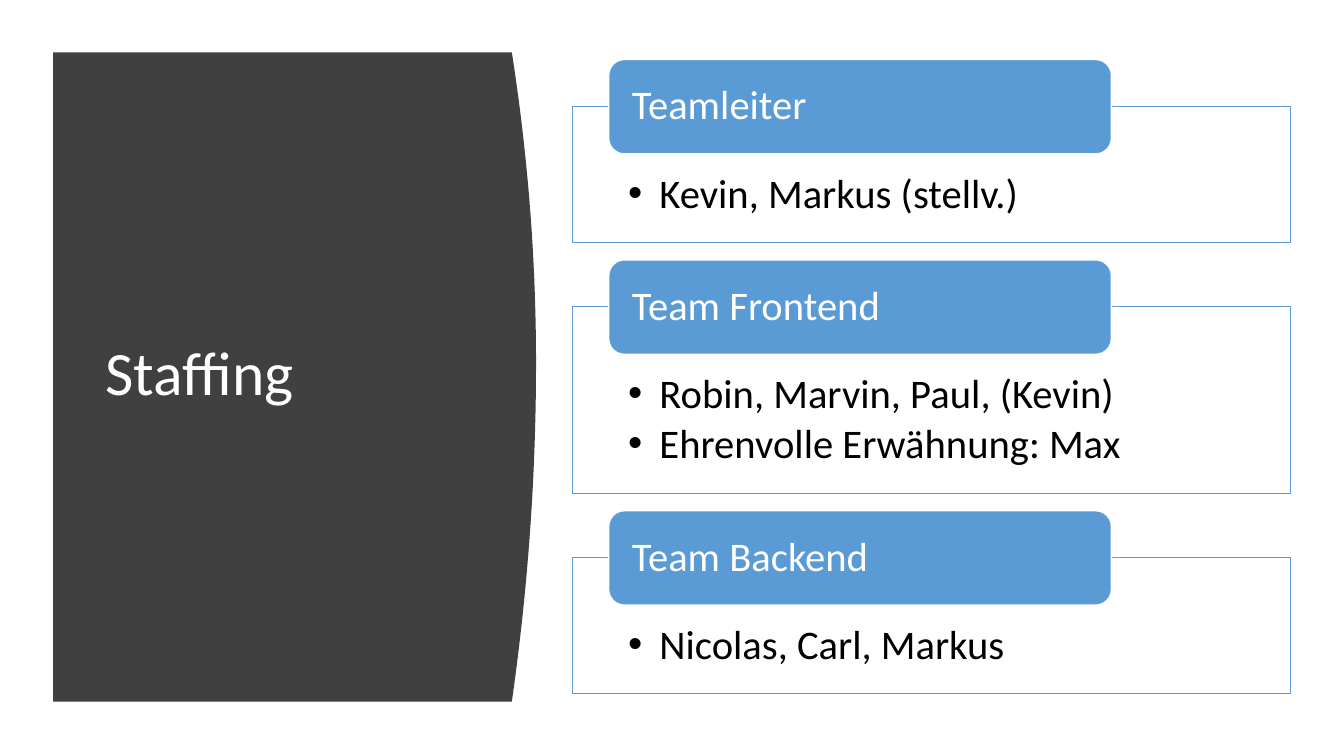
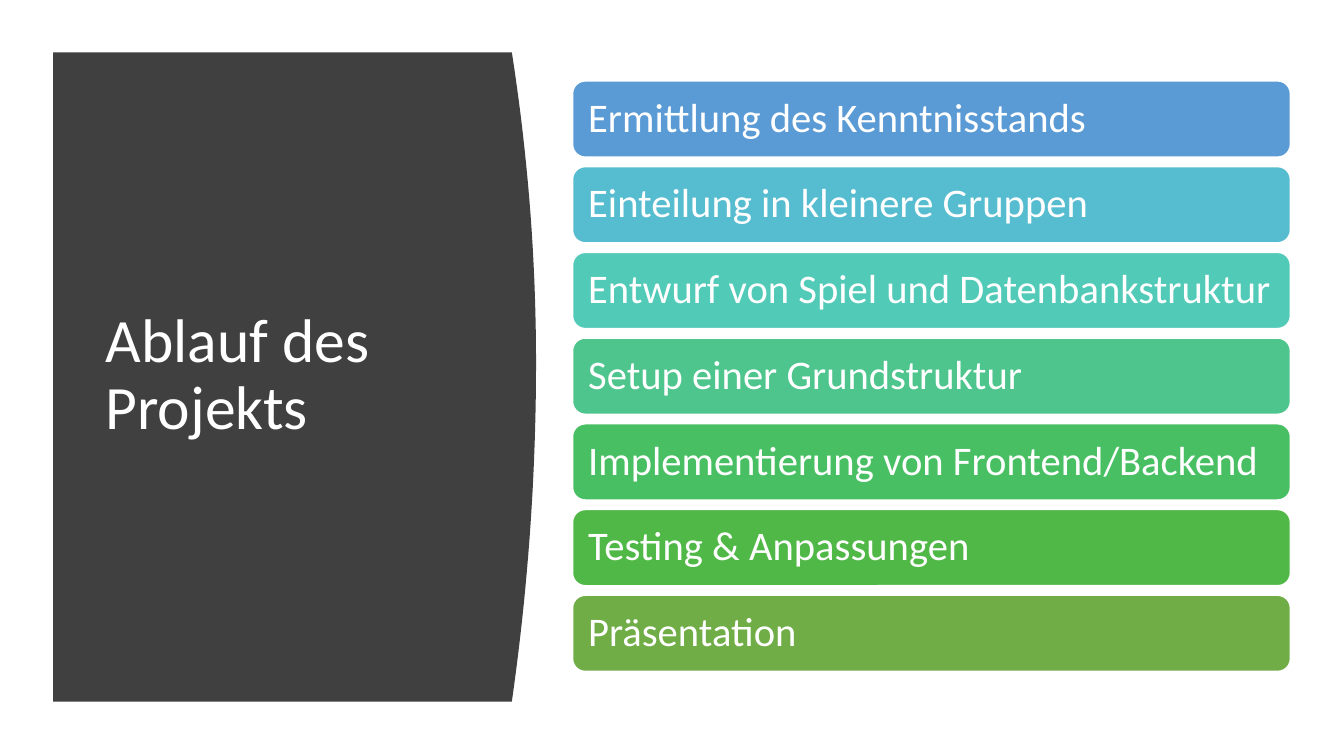
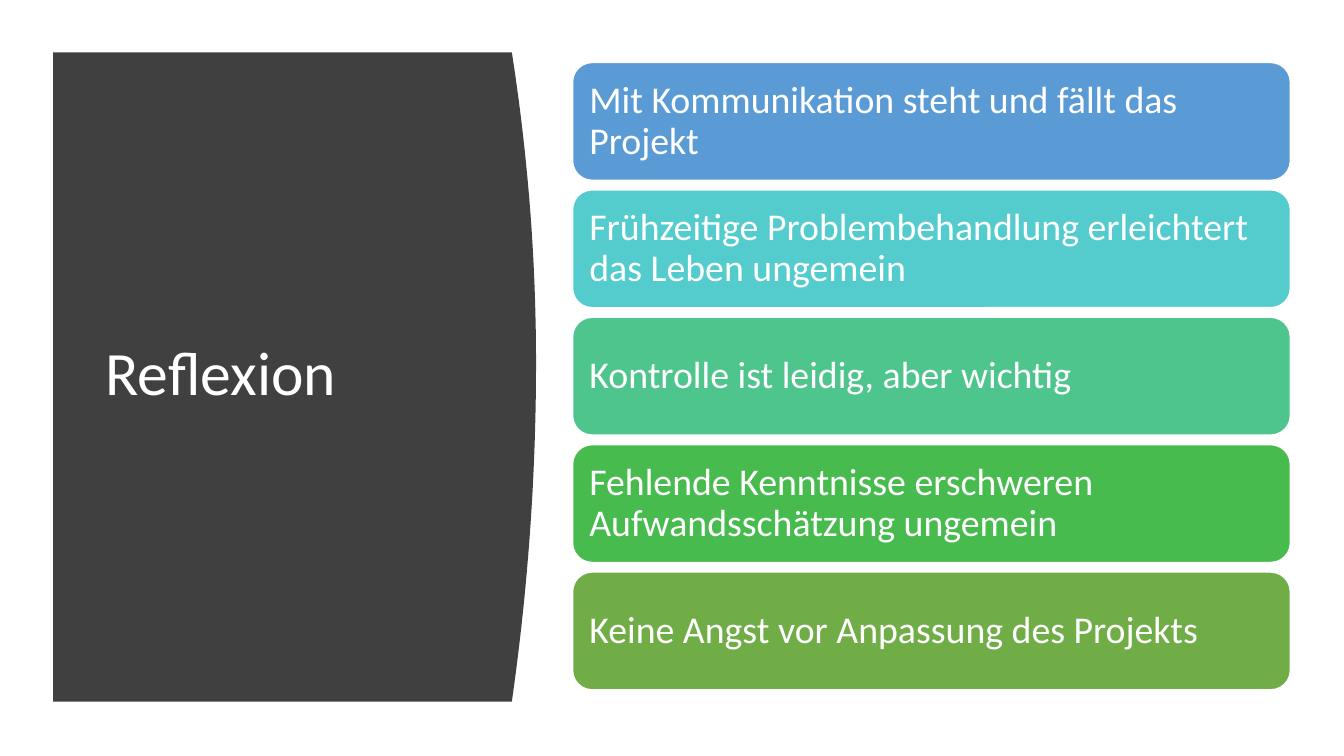
from dataclasses import dataclass

from lxml import etree
from pptx import Presentation
from pptx.dml.color import RGBColor
from pptx.enum import shapes, text
from pptx.oxml.ns import qn
from pptx.util import Cm, Pt

STAFFING = ("Staffing", [
    ("Teamleiter", ["Kevin, Markus (stellv.)"]),
    ("Team Frontend", ["Robin, Marvin, Paul, (Kevin)", "Ehrenvolle Erwähnung: Max"]),
    ("Team Backend", ["Nicolas, Carl, Markus"]),
])
SCHEDULE = ("Ablauf des Projekts", [
    ("Ermittlung des Kenntnisstands", "5B9BD5"),
    ("Einteilung in kleinere Gruppen", "56BCD0"),
    ("Entwurf von Spiel und Datenbankstruktur", "52CAB8"),
    ("Setup einer Grundstruktur", "4DC58D"),
    ("Implementierung von Frontend/Backend", "49BF64"),
    ("Testing & Anpassungen", "50B846"),
    ("Präsentation", "70AD47"),
])
REFLECTION = ("Reflexion", [
    ("Mit Kommunikation steht und fällt das Projekt", "5B9BD5"),
    ("Frühzeitige Problembehandlung erleichtert das Leben ungemein", "54CCCD"),
    ("Kontrolle ist leidig, aber wichtig", "4DC58D"),
    ("Fehlende Kenntnisse erschweren Aufwandsschätzung ungemein", "48BB4F"),
    ("Keine Angst vor Anpassung des Projekts", "70AD47"),
])


@dataclass(frozen=True)
class Theme:
    font: str = "Calibri"
    bullet_font: str = "Arial"
    panel: str = "404040"
    accent: str = "5B9BD5"
    light: str = "FFFFFF"
    dark: str = "000000"
    title_size: int = 44
    body_size: int = 29
    long_size: int = 27


THEME = Theme()
PANEL = {"left": 1.34, "top": 1.32, "corner": 12.9, "bulge": 13.51, "peak": 9.14, "bottom": 17.68}
TITLE_AREA = (2.41, 2.82, 9.5, 13.31)
CONTENT_LEFT, CONTENT_WIDTH, CONTENT_MIDDLE = 14.43, 18.09, 9.48
BAR_GAP = 0.24


def apply(target, values):
    for name, value in values.items():
        setattr(target, name, value)


def write(box, lines, size, color, insets, anchor=text.MSO_ANCHOR.MIDDLE, after=0):
    frame = box.text_frame
    sides = ("margin_left", "margin_top", "margin_right", "margin_bottom")
    apply(frame, {side: Cm(inset) for side, inset in zip(sides, insets)})
    apply(frame, {"word_wrap": True, "vertical_anchor": anchor, "auto_size": text.MSO_AUTO_SIZE.NONE})
    frame.text = "\n".join(lines)
    for para in frame.paragraphs:
        apply(para, {"alignment": text.PP_ALIGN.LEFT, "line_spacing": 0.9, "space_after": Pt(after)})
        apply(para.font, {"name": THEME.font, "size": Pt(size)})
        para.font.color.rgb = RGBColor.from_string(color)


def add_bullets(box):
    for para in box.text_frame.paragraphs:
        properties = para._p.get_or_add_pPr()
        properties.set("marL", str(Cm(0.79)))
        properties.set("indent", str(Cm(-0.79)))
        run_defaults = properties.find(qn("a:defRPr"))
        run_defaults.addprevious(etree.Element(qn("a:buFont"), typeface=THEME.bullet_font))
        run_defaults.addprevious(etree.Element(qn("a:buChar"), char="•"))


def paint(box, fill, line=None):
    box.shadow.inherit = False
    box.fill.solid()
    box.fill.fore_color.rgb = RGBColor.from_string(fill)
    if line:
        box.line.color.rgb = RGBColor.from_string(line)
        box.line.width = Pt(1)
    else:
        box.line.fill.background()


def add_box(page, kind, area, fill, line):
    box = page.shapes.add_shape(kind, *map(Cm, area))
    paint(box, fill, line)
    return box


def panel_edge(y):
    end = PANEL["top"] if y < PANEL["peak"] else PANEL["bottom"]
    share = (y - PANEL["peak"]) / (end - PANEL["peak"])
    return PANEL["bulge"] - (PANEL["bulge"] - PANEL["corner"]) * share ** 2


def add_page(deck, title):
    page = deck.slides.add_slide(deck.slide_layouts[5])
    steps = 40
    height = PANEL["bottom"] - PANEL["top"]
    levels = [PANEL["top"] + height * step / steps for step in range(steps + 1)]
    curve = [(Cm(panel_edge(y)), Cm(y)) for y in levels]
    outline = page.shapes.build_freeform(Cm(PANEL["left"]), Cm(PANEL["top"]))
    outline.add_line_segments(curve + [(Cm(PANEL["left"]), Cm(PANEL["bottom"]))], close=True)
    panel = outline.convert_to_shape()
    paint(panel, THEME.panel)
    heading = page.shapes.title
    heading._element.addprevious(panel._element)
    apply(heading, dict(zip(("left", "top", "width", "height"), map(Cm, TITLE_AREA))))
    write(heading, [title], THEME.title_size, THEME.light, (0.25, 0.13, 0.25, 0.13))
    return page


def add_teams(deck, content):
    title, teams = content
    page = add_page(deck, title)
    gap, one_line, extra_line = 1.62, 3.43, 1.27
    tab_left, tab_width, tab_height, tab_rise = 15.34, 12.67, 2.38, 1.18
    top = 2.68
    for team, members in teams:
        height = one_line + extra_line * (len(members) - 1)
        frame = add_box(page, shapes.MSO_SHAPE.RECTANGLE,
                        (CONTENT_LEFT, top, CONTENT_WIDTH, height), THEME.light, THEME.accent)
        write(frame, members, THEME.body_size, THEME.dark, (1.4, 1.68, 1.4, 0.58),
              text.MSO_ANCHOR.TOP, after=4.35)
        add_bullets(frame)
        tab = add_box(page, shapes.MSO_SHAPE.ROUNDED_RECTANGLE,
                      (tab_left, top - tab_rise, tab_width, tab_height), THEME.accent, THEME.light)
        write(tab, [team], THEME.body_size, THEME.light, (0.47, 0, 0.47, 0))
        top += height + gap


def add_bars(deck, content, height, size, inset):
    title, bars = content
    page = add_page(deck, title)
    pitch = height + BAR_GAP
    first = CONTENT_MIDDLE - (len(bars) * pitch - BAR_GAP) / 2
    for row, (label, color) in enumerate(bars):
        bar = add_box(page, shapes.MSO_SHAPE.ROUNDED_RECTANGLE,
                      (CONTENT_LEFT, first + row * pitch, CONTENT_WIDTH, height), color, THEME.light)
        write(bar, [label], size, THEME.light, (inset, 0.1, inset, 0.1))


deck = Presentation()
apply(deck, {"slide_width": Cm(33.87), "slide_height": Cm(19.05)})
add_teams(deck, STAFFING)
add_bars(deck, SCHEDULE, 1.92, THEME.body_size, 0.3)
add_bars(deck, REFLECTION, 2.97, THEME.long_size, 0.28)
deck.save("out.pptx")
